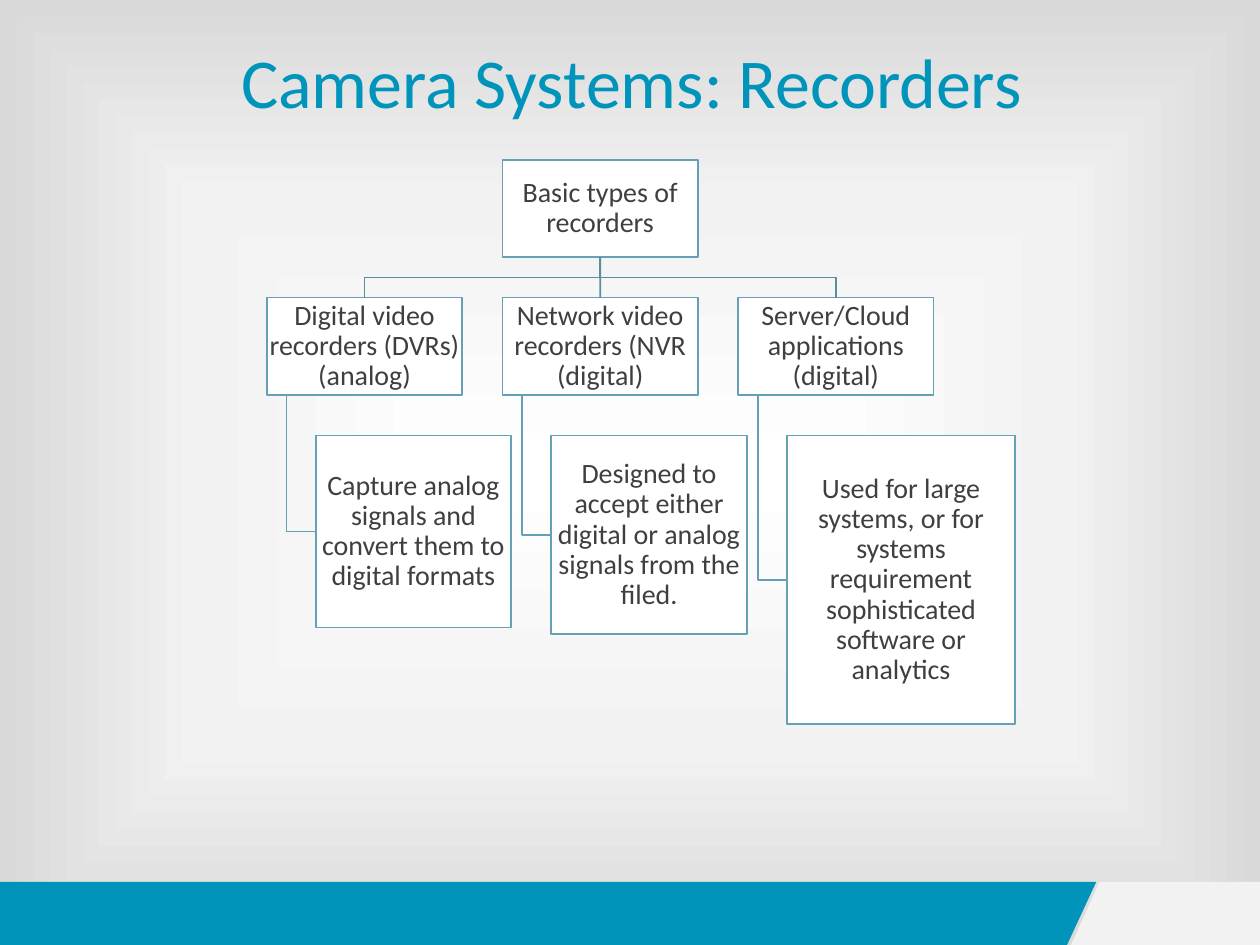
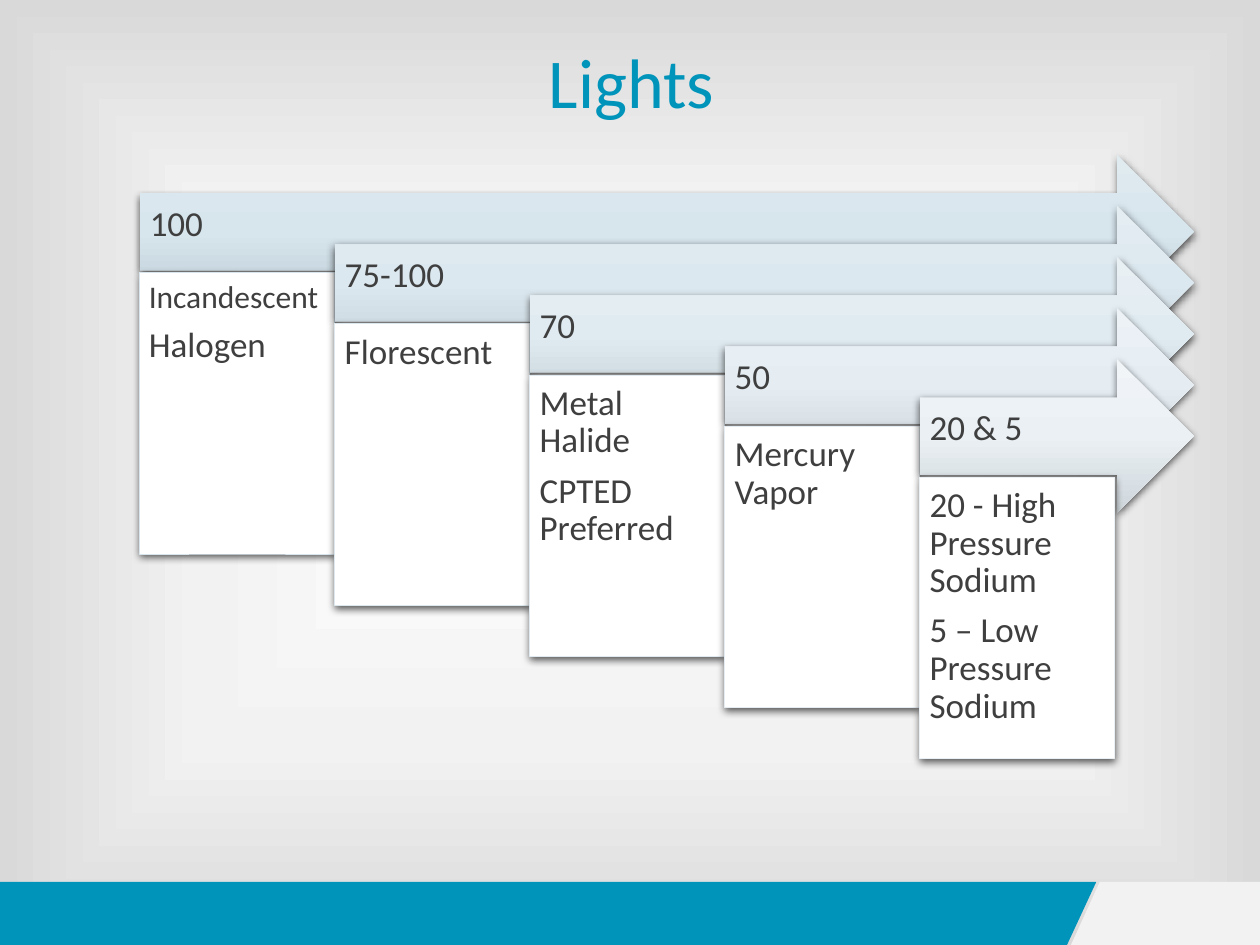
from pptx import Presentation
from pptx import util as u
from pptx.dml.color import RGBColor
from pptx.enum import shapes, text
from pptx.oxml import parse_xml
from pptx.oxml.ns import nsdecls, qn

TEAL = RGBColor(0x00, 0x94, 0xBB)
INK = RGBColor(0x3F, 0x3F, 0x3F)
WHITE = RGBColor(0xFF, 0xFF, 0xFF)
PALE = RGBColor(0xF2, 0xF2, 0xF2)
SILVER = RGBColor(0xD9, 0xD9, 0xD9)
BORDER = RGBColor(0x65, 0xA0, 0xB5)
TRUNK = RGBColor(0x59, 0x8D, 0x9F)

CENTRE_OUT = ('<a:path path="rect"><a:fillToRect l="50000" t="50000" '
              'r="50000" b="50000"/></a:path>')
DOWNWARD = '<a:lin ang="5400000" scaled="0"/>'


def paint_gradient(element, stops, direction):
    marks = "".join(f'<a:gs pos="{place * 1000}"><a:srgbClr val="{color}"/></a:gs>'
                    for place, color in stops)
    gradient = parse_xml(f'<a:gradFill {nsdecls("a")} rotWithShape="1">'
                         f'<a:gsLst>{marks}</a:gsLst>{direction}</a:gradFill>')
    empty_fill = next(element.iter(qn("a:noFill")))
    empty_fill.getparent().replace(empty_fill, gradient)


class Deck:
    font = "Calibri"

    def __init__(self):
        self.presentation = Presentation()
        self.presentation.slide_width = u.Cm(25.4)
        self.presentation.slide_height = u.Cm(19.05)
        self.master = self.presentation.slide_master
        self.master.background.fill.background()
        paint_gradient(self.master.element.cSld,
                       [(0, WHITE), (58, PALE), (100, SILVER)], CENTRE_OUT)
        self.slide = None

    def start_slide(self, heading):
        self.slide = self.presentation.slides.add_slide(
            self.presentation.slide_layouts.get_by_name("Title Only"))
        title = self.slide.shapes.title
        title.left, title.top = u.Cm(1.93), u.Cm(0.53)
        title.width, title.height = u.Cm(21.6), u.Cm(2.2)
        title.text_frame.text = heading
        self.style_paragraph(title.text_frame.paragraphs[0], 40, TEAL,
                             text.PP_ALIGN.CENTER)

    def style_paragraph(self, paragraph, size, color, alignment):
        paragraph.alignment = alignment
        paragraph.font.name = self.font
        paragraph.font.size = u.Pt(size)
        paragraph.font.color.rgb = color

    def outline(self, points, closed):
        start, *rest = [(u.Cm(x), u.Cm(y)) for x, y in points]
        builder = self.slide.shapes.build_freeform(*start)
        builder.add_line_segments(rest, close=closed)
        shape = builder.convert_to_shape()
        shape.shadow.inherit = False
        return shape

    def master_band(self, points, color, number):
        band = self.outline(points, True)
        band.fill.solid()
        band.fill.fore_color.rgb = color
        band.line.fill.background()
        band.element.nvSpPr.cNvPr.id = number
        self.master.element.cSld.spTree.append(band.element)

    def elbow(self, points, color):
        wire = self.outline(points, False)
        wire.fill.background()
        wire.line.color.rgb = color
        wire.line.width = u.Pt(1)

    def straight(self, upper, lower, color):
        wire = self.slide.shapes.add_connector(
            shapes.MSO_CONNECTOR.STRAIGHT, 0, 0, 0, 0)
        wire.begin_connect(upper, 2)
        wire.end_connect(lower, 0)
        wire.line.color.rgb = color
        wire.line.width = u.Pt(1)
        wire.element.spPr.append(parse_xml(f'<a:effectLst {nsdecls("a")}/>'))

    def panel(self, kind, place, border=None, border_width=1):
        shape = self.slide.shapes.add_shape(kind, *[u.Cm(length) for length in place])
        shape.shadow.inherit = False
        if border is None:
            shape.line.fill.background()
            shape.fill.background()
        else:
            shape.line.color.rgb = border
            shape.line.width = u.Pt(border_width)
            shape.fill.solid()
            shape.fill.fore_color.rgb = WHITE
        return shape

    def fill_text(self, shape, lines, insets, anchor, alignment):
        frame = shape.text_frame
        frame.word_wrap = True
        frame.vertical_anchor = anchor
        (frame.margin_left, frame.margin_top,
         frame.margin_right, frame.margin_bottom) = [u.Cm(inset) for inset in insets]
        frame.text = "\n".join(line for line, size in lines)
        for paragraph, (line, size) in zip(frame.paragraphs, lines):
            paragraph.line_spacing = 0.9
            paragraph.space_after = u.Pt(0.35 * size)
            self.style_paragraph(paragraph, size, INK, alignment)

    def node(self, wording, place):
        box = self.panel(shapes.MSO_SHAPE.RECTANGLE, place, BORDER)
        self.fill_text(box, [(wording, 16)], [0.03] * 4,
                       text.MSO_ANCHOR.MIDDLE, text.PP_ALIGN.CENTER)
        return box

    def drop_shadow(self, shape):
        shape.element.spPr.find(qn("a:effectLst")).append(parse_xml(
            f'<a:outerShdw {nsdecls("a")} blurRad="57150" dist="19050" dir="5400000" '
            'algn="ctr" rotWithShape="0"><a:srgbClr val="000000">'
            '<a:alpha val="63000"/></a:srgbClr></a:outerShdw>'))

    def arrow(self, wording, place, stops):
        arrow = self.panel(shapes.MSO_SHAPE.RIGHT_ARROW, place)
        paint_gradient(arrow.element.spPr, stops, DOWNWARD)
        self.drop_shadow(arrow)
        self.fill_text(arrow, [(wording, 20)], [0.2, 0.2, 0.71, 0.48],
                       text.MSO_ANCHOR.MIDDLE, text.PP_ALIGN.LEFT)

    def card(self, lines, place, border):
        card = self.panel(shapes.MSO_SHAPE.RECTANGLE, place, border, 0.5)
        self.drop_shadow(card)
        self.fill_text(card, lines, [lines[0][1] / 100] * 4,
                       text.MSO_ANCHOR.TOP, text.PP_ALIGN.LEFT)


def draw_footer(deck):
    deck.master_band([(0, 17.78), (22.1, 17.78), (21.51, 19.05), (0, 19.05)], TEAL, 21)
    deck.master_band([(22.17, 17.78), (25.4, 17.78), (25.4, 19.05), (21.59, 19.05)],
                     PALE, 22)


def draw_recorders(deck):
    recorders = [
        ("Digital video recorders (DVRs) (analog)",
         "Capture analog signals and convert them to digital formats", 3.94, 3.87),
        ("Network video recorders (NVR (digital)",
         "Designed to accept either digital or analog signals from the filed.", 3.94, 4.01),
        ("Server/Cloud applications (digital)",
         "Used for large systems, or for systems requirement sophisticated software "
         "or analytics", 4.6, 5.82),
    ]
    width, height, gap = 3.94, 1.97, 0.81
    left, root_top = 5.38, 3.22
    kind_top = root_top + height + gap
    detail_top = kind_top + height + gap
    root_left = left + width + gap
    root_middle = root_left + width / 2
    root_bottom = root_top + height
    root = deck.node("Basic types of recorders", (root_left, root_top, width, height))
    for column, (kind, detail, detail_width, detail_height) in enumerate(recorders):
        kind_left = left + column * (width + gap)
        kind_middle = kind_left + width / 2
        kind_box = deck.node(kind, (kind_left, kind_top, width, height))
        if column == 1:
            deck.straight(root, kind_box, TRUNK)
        else:
            fork = root_bottom + gap / 2
            deck.elbow([(root_middle, root_bottom), (root_middle, fork),
                        (kind_middle, fork), (kind_middle, kind_top)], TRUNK)
        spine = kind_left + width / 10
        detail_left = kind_left + width / 4
        detail_middle = detail_top + detail_height / 2
        deck.elbow([(spine, kind_top + height), (spine, detail_middle),
                    (detail_left, detail_middle)], BORDER)
        deck.node(detail, (detail_left, detail_top, detail_width, detail_height))


def draw_lights(deck):
    lights = [
        ("100", [("Incandescent", 18), ("Halogen", 20)],
         ("E0EBF0", "D7E5ED", "BDCCD4"), "D8E5EC"),
        ("75-100", [("Florescent", 20)],
         ("E4EDF2", "DCE8EF", "C2CFD6"), "DDE8EE"),
        ("70", [("Metal Halide", 20), ("CPTED Preferred", 20)],
         ("E9F0F4", "E0EBF1", "C6D1D7"), "E1EAF0"),
        ("50", [("Mercury Vapor", 20)],
         ("EDF2F6", "E5EDF3", "CAD3D9"), "E6EDF2"),
        ("20 & 5", [("20 - High Pressure Sodium", 20), ("5 – Low Pressure Sodium", 20)],
         ("F1F5F8", "EAF0F4", "CED6DB"), "EAF0F4"),
    ]
    card_width, arrow_tip = 3.93, 24.07
    for step, (rating, lamps, tints, border) in enumerate(lights):
        left = 2.82 + step * card_width
        top = 3.12 + step * 1.03
        deck.arrow(rating, (left, top, arrow_tip - left, 3.1),
                   list(zip((0, 50, 100), tints)))
        deck.card(lamps, (left, top + 2.38, card_width, 5.67),
                  RGBColor.from_string(border))


def main():
    deck = Deck()
    deck.start_slide("Camera Systems: Recorders")
    draw_footer(deck)
    draw_recorders(deck)
    deck.start_slide("Lights")
    draw_lights(deck)
    deck.presentation.save("out.pptx")


if __name__ == "__main__":
    main()
